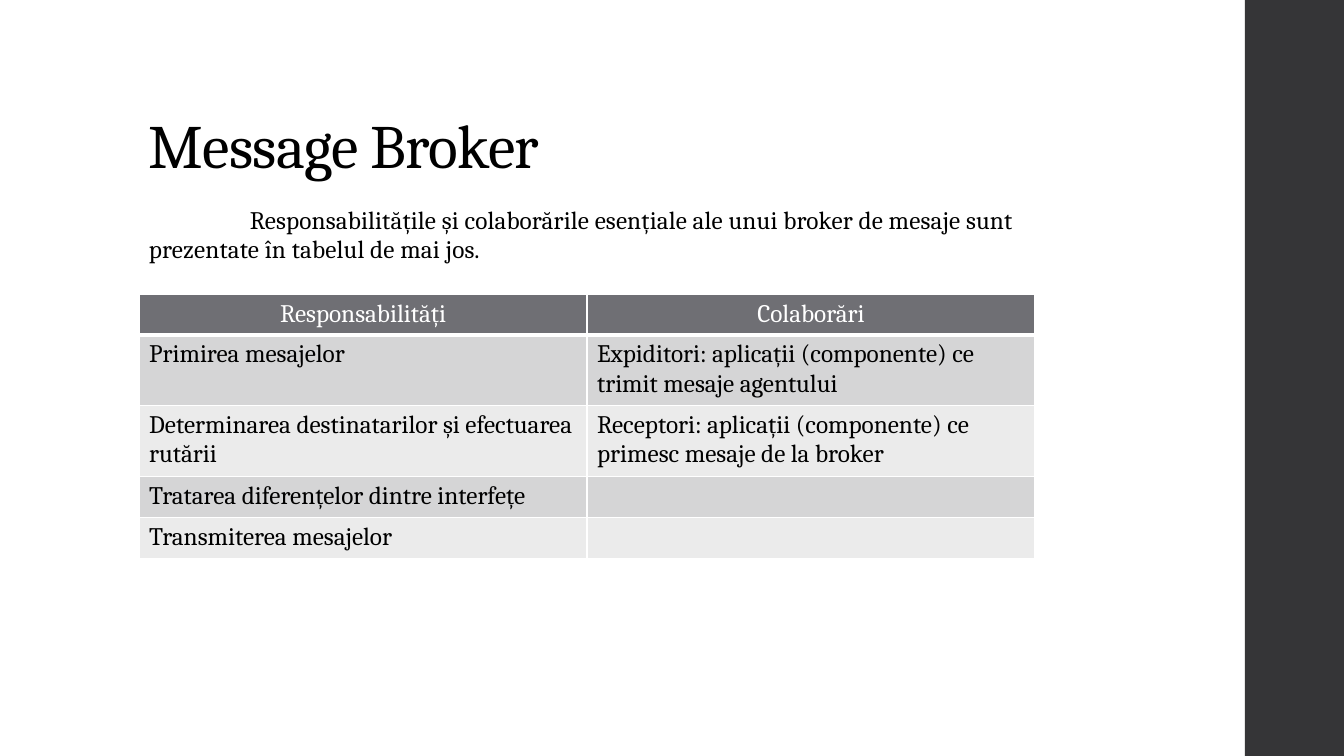
from lxml.etree import SubElement
from pptx import Presentation
from pptx.dml.color import RGBColor
from pptx.enum.shapes import MSO_SHAPE as Preset
from pptx.enum.text import MSO_ANCHOR as Anchor, PP_ALIGN as Align
from pptx.oxml.ns import qn
from pptx.util import Pt

FONT = "Cambria"
COLORS = {"text": "000000", "white": "FFFFFF", "bar": "353537",
          "header": "6F6F74", "odd": "D5D5D6", "even": "EBEBEB"}
SLIDE_WIDTH, SLIDE_HEIGHT = 960, 540
LEFT = 99.36
BAR_LEFT = 889.2
COLUMN_WIDTH, ROW_HEIGHT = 320, 29.2
ROWS = [
    ("Responsabilități", "Colaborări"),
    ("Primirea mesajelor", "Expiditori: aplicații (componente) ce trimit mesaje agentului"),
    ("Determinarea destinatarilor și efectuarea rutării",
     "Receptori: aplicații (componente) ce primesc mesaje de la broker"),
    ("Tratarea diferențelor dintre interfețe", ""),
    ("Transmiterea mesajelor", ""),
]


def rgb(name):
    """Return the named colour."""
    return RGBColor.from_string(COLORS[name])


def write_text(frame, text, size=18, color="text", align=Align.LEFT, line=None,
               before=0, after=0, indent=0, tracking=0):
    """Write one formatted paragraph into a text frame."""
    paragraph = frame.paragraphs[0]
    paragraph.alignment = align
    paragraph.line_spacing = line
    paragraph.space_before, paragraph.space_after = Pt(before), Pt(after)
    if indent:
        paragraph._p.get_or_add_pPr().set("indent", str(Pt(indent)))
    run = paragraph.add_run()
    run.text = text
    run.font.name, run.font.size = FONT, Pt(size)
    run.font.color.rgb = rgb(color)
    if tracking:
        run._r.get_or_add_rPr().set("spc", str(round(tracking * 100)))


def add_text_box(slide, top, width, height, text, anchor=Anchor.TOP, **text_format):
    """Add a wrapping text box on the left margin."""
    box = slide.shapes.add_textbox(Pt(LEFT), Pt(top), Pt(width), Pt(height))
    box.text_frame.word_wrap = True
    box.text_frame.vertical_anchor = anchor
    write_text(box.text_frame, text, **text_format)


def add_side_bar(slide):
    """Add the dark bar along the right edge."""
    bar = slide.shapes.add_shape(Preset.RECTANGLE, Pt(BAR_LEFT), 0,
                                 Pt(SLIDE_WIDTH - BAR_LEFT), Pt(SLIDE_HEIGHT))
    bar.shadow.inherit = False
    bar.fill.solid()
    bar.fill.fore_color.rgb = rgb("bar")
    bar.line.fill.background()


def set_borders(cell, **widths):
    """Draw white cell borders of the given widths by side."""
    properties = cell._tc.get_or_add_tcPr()
    for side, width in widths.items():
        border = SubElement(properties, qn(f"a:ln{side}"), w=str(Pt(width)))
        fill = SubElement(border, qn("a:solidFill"))
        SubElement(fill, qn("a:srgbClr"), val=COLORS["white"])


def add_role_table(slide, top):
    """Add the table of responsibilities and collaborations."""
    columns = len(ROWS[0])
    table = slide.shapes.add_table(len(ROWS), columns, Pt(LEFT), Pt(top),
                                   Pt(COLUMN_WIDTH * columns),
                                   Pt(ROW_HEIGHT * len(ROWS))).table
    for index, texts in enumerate(ROWS):
        is_header = index == 0
        fill = "header" if is_header else "odd" if index % 2 else "even"
        for column, text in enumerate(texts):
            cell = table.cell(index, column)
            set_borders(cell, L=1, R=1, T=3 if index == 1 else 1, B=3 if is_header else 1)
            cell.fill.solid()
            cell.fill.fore_color.rgb = rgb(fill)
            if text:
                write_text(cell.text_frame, text,
                           color="white" if is_header else "text",
                           align=Align.CENTER if is_header else Align.LEFT)


def main():
    """Build and save the slide."""
    presentation = Presentation()
    presentation.slide_width, presentation.slide_height = Pt(SLIDE_WIDTH), Pt(SLIDE_HEIGHT)
    slide = presentation.slides.add_slide(presentation.slide_layouts[6])
    add_side_bar(slide)
    add_text_box(slide, 28.8, 763.2, 104.4, "Message Broker", anchor=Anchor.BOTTOM,
                 size=44, line=0.9, tracking=-0.5)
    add_text_box(slide, 144, 676.8, 342.72,
                 "Responsabilitățile și colaborările esențiale ale unui broker de mesaje "
                 "sunt prezentate în tabelul de mai jos.",
                 line=0.95, before=14, after=2, indent=72, tracking=0.1)
    add_role_table(slide, 210.24)
    presentation.save("out.pptx")


if __name__ == "__main__":
    main()
